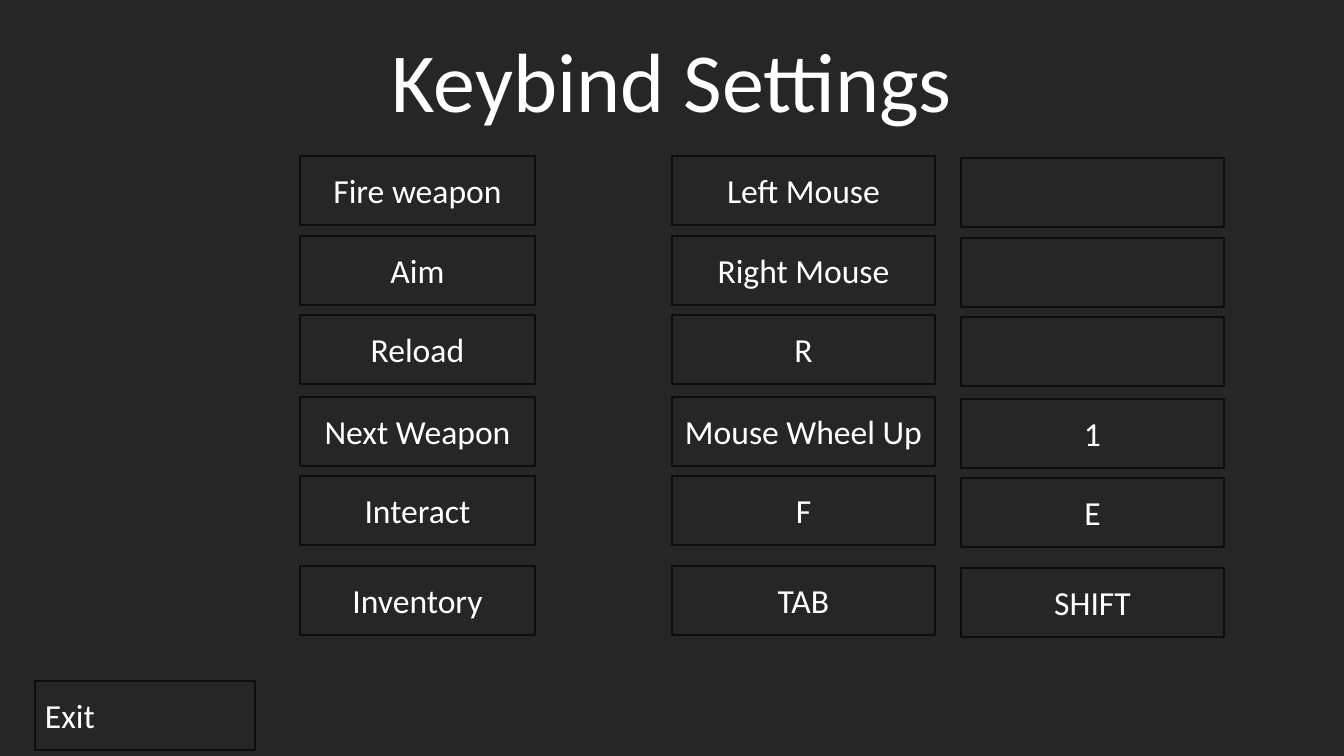
from pptx import Presentation
from pptx.dml.color import RGBColor
from pptx.enum.shapes import MSO_SHAPE
from pptx.enum.text import MSO_ANCHOR, PP_ALIGN
from pptx.util import Pt

WIDTH, HEIGHT = 1344, 756
SCALE = 12192000 / WIDTH
DARK, EDGE, WHITE = "262626", "0D0D0D", "FFFFFF"
ROW_TOPS = [0, 80, 159, 241, 320, 410]
ROW_HEIGHT = 69
COLUMNS = [
    (0, 0, 235, ["Fire weapon", "Aim", "Reload", "Next Weapon", "Interact", "Inventory"]),
    (372, 0, 263, ["Left Mouse", "Right Mouse", "R", "Mouse Wheel Up", "F", "TAB"]),
    (661, 2, 263, ["", "", "", "1", "E", "SHIFT"]),
]


def px(*lengths):
    return [round(length * SCALE) for length in lengths]


def color(value):
    return RGBColor.from_string(value)


def write(shape, text, size, align):
    frame = shape.text_frame
    frame.word_wrap = True
    para = frame.paragraphs[0]
    para.text = text
    para.alignment = align
    para.font.name = "Calibri"
    para.font.size = Pt(size)
    para.font.color.rgb = color(WHITE)


def add_panel(page, box, edge):
    panel = page.shapes.add_shape(MSO_SHAPE.RECTANGLE, *px(*box))
    panel.shadow.inherit = False
    panel.fill.solid()
    panel.fill.fore_color.rgb = color(DARK)
    panel.line.color.rgb = color(edge)
    panel.line.width = Pt(1)
    return panel


def add_button(page, box, text, align=PP_ALIGN.CENTER):
    button = add_panel(page, box, EDGE)
    button.text_frame.vertical_anchor = MSO_ANCHOR.MIDDLE
    if text:
        write(button, text, 24, align)


def add_title(page, box):
    title = page.shapes.add_textbox(*px(*box))
    write(title, "Keybind Settings", 60, PP_ALIGN.CENTER)


def add_keybinds(page, left, top):
    for column_left, drop, width, labels in COLUMNS:
        for row_top, label in zip(ROW_TOPS, labels):
            box = (left + column_left, top + row_top + drop, width, ROW_HEIGHT)
            add_button(page, box, label)


def main():
    deck = Presentation()
    deck.slide_width, deck.slide_height = px(WIDTH, HEIGHT)
    page = deck.slides.add_slide(deck.slide_layouts[6])
    add_panel(page, (0, 0, WIDTH, HEIGHT), DARK)
    add_title(page, (0, 24, WIDTH, 112))
    add_button(page, (35, 681, 220, ROW_HEIGHT), "Exit", PP_ALIGN.LEFT)
    add_keybinds(page, 300, 156)
    deck.save("out.pptx")


if __name__ == "__main__":
    main()
